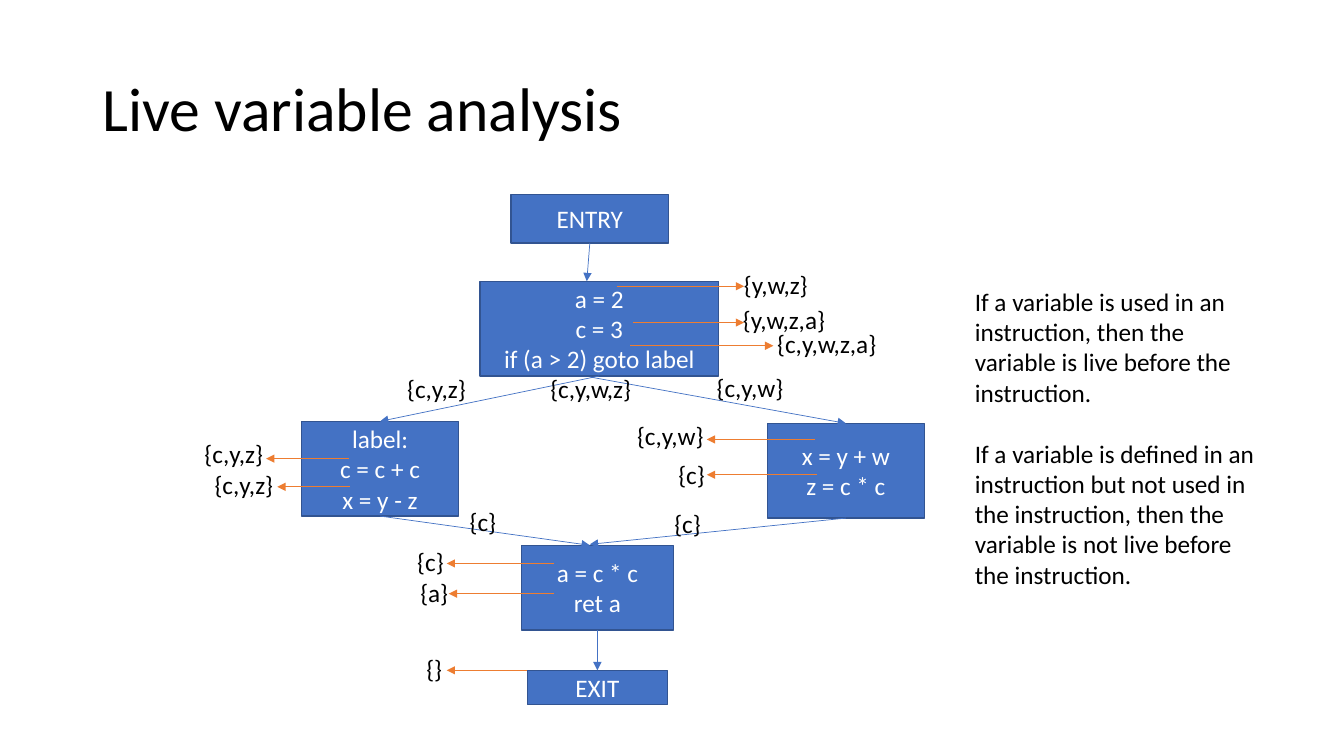
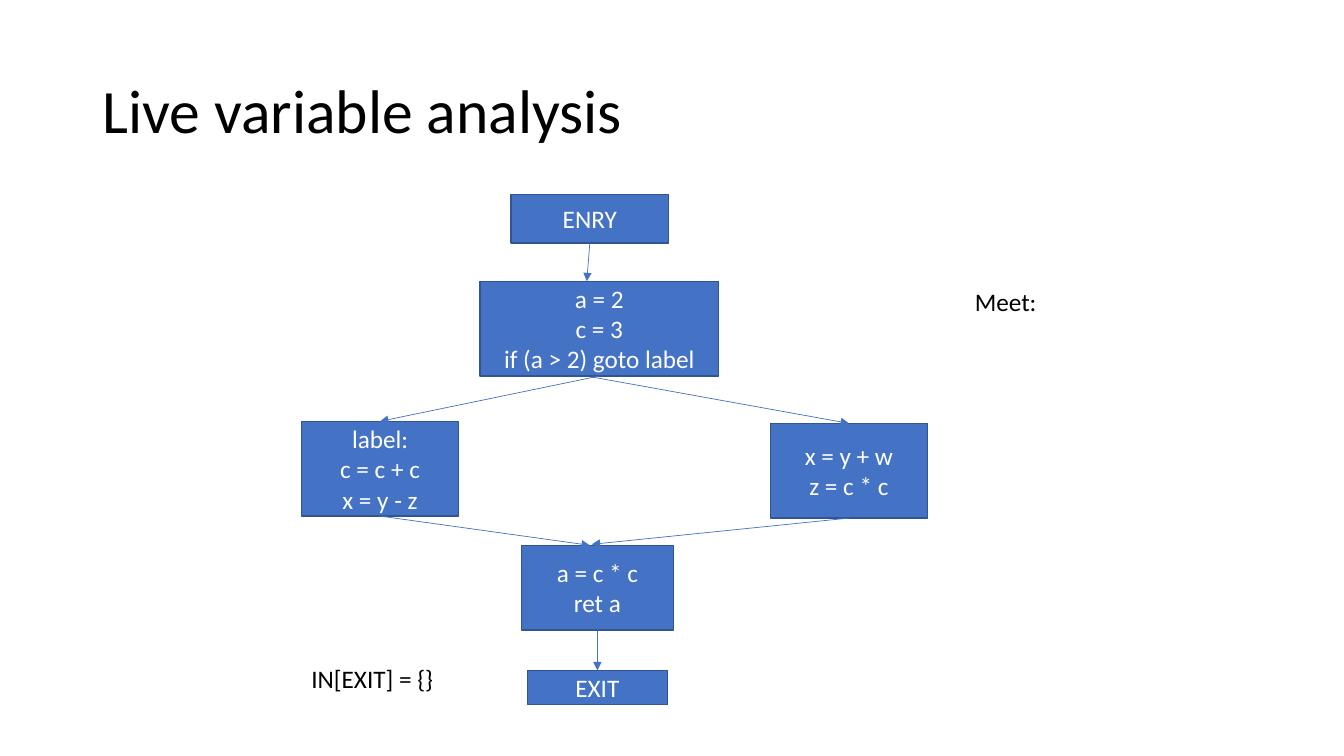
from lxml import etree
from pptx import Presentation
from pptx.dml.color import RGBColor
from pptx.enum.shapes import MSO_CONNECTOR, MSO_SHAPE
from pptx.enum.text import MSO_ANCHOR, PP_ALIGN
from pptx.oxml.ns import qn
from pptx.util import Inches, Pt

RECTANGLE = MSO_SHAPE.RECTANGLE
STRAIGHT = MSO_CONNECTOR.STRAIGHT
MIDDLE = MSO_ANCHOR.MIDDLE
LEFT, CENTER = PP_ALIGN.LEFT, PP_ALIGN.CENTER
TOP_SIDE, BOTTOM_SIDE = 0, 2

FONT = "Calibri"
BLUE, DARK_BLUE, ORANGE = "4472C4", "325491", "ED7D31"
BLACK, WHITE = "000000", "FFFFFF"
LABEL_HEIGHT = 0.4
rgb = RGBColor.from_string


def write_text(frame, lines, size=18, color=BLACK, align=LEFT, gap=0):
    frame.word_wrap = True
    for index, line in enumerate(lines):
        paragraph = frame.add_paragraph() if index else frame.paragraphs[0]
        paragraph.text = line
        paragraph.alignment = align
        paragraph.space_before = Pt(gap if index else 0)
        paragraph.font.name = FONT
        paragraph.font.size = Pt(size)
        paragraph.font.color.rgb = rgb(color)


def add_arrow(slide, start, end, color):
    points = [Inches(value) for value in (*start, *end)]
    arrow = slide.shapes.add_connector(STRAIGHT, *points)
    arrow.line.color.rgb = rgb(color)
    arrow.line.width = Pt(0.5)
    properties = arrow._element.spPr
    etree.SubElement(properties.find(qn("a:ln")), qn("a:tailEnd"), type="triangle")
    etree.SubElement(properties, qn("a:effectLst"))
    return arrow


rules = [
    "If a variable is used in an instruction, then the variable is live before the instruction.",
    "If a variable is defined in an instruction but not used in the instruction, "
    "then the variable is not live before the instruction.",
]
live_sets = [
    (4.13, 6.43, 0.94, "{}"),
    (4.07, 5.68, 0.94, "{a}"),
    (4.04, 5.37, 0.94, "{c}"),
    (4.56, 4.97, 0.94, "{c}"),
    (6.59, 4.99, 0.94, "{c}"),
    (6.63, 4.51, 0.94, "{c}"),
    (6.22, 4.12, 0.94, "{c,y,w}"),
    (1.93, 4.3, 0.94, "{c,y,z}"),
    (2.03, 4.61, 0.94, "{c,y,z}"),
    (3.94, 3.65, 0.94, "{c,y,z}"),
    (7.01, 3.64, 0.94, "{c,y,w}"),
    (5.36, 3.65, 1.08, "{c,y,w,z}"),
    (7.61, 3.21, 1.61, "{c,y,w,z,a}"),
    (7.27, 2.97, 1.61, "{y,w,z,a}"),
    (7.28, 2.62, 1.61, "{y,w,z}"),
]
live_set_pointers = [
    (5.23, 4.43, 6.65),
    (5.49, 4.45, 5.89),
    (5.49, 4.43, 5.59),
    (8.1, 7.01, 4.71),
    (8.08, 7.01, 4.36),
    (3.46, 2.64, 4.55),
    (3.47, 2.75, 4.83),
    (6.25, 7.67, 3.43),
    (6.28, 7.38, 3.2),
    (6.12, 7.38, 2.84),
]
slide_contents = [
    (0.38, "ENTRY", 7.61, 5.85, rules, live_sets, live_set_pointers),
    (0.4, "ENRY", 7.64, 5.87, ["Meet:"], [(2.99, 6.53, 1.48, "IN[EXIT] = {}")], []),
]

presentation = Presentation()
presentation.slide_width = Inches(13.33)
presentation.slide_height = Inches(7.5)
blank_layout = presentation.slide_layouts[6]

for title_top, entry_name, else_left, else_joint, side_notes, labels, pointers in slide_contents:
    slide = presentation.slides.add_slide(blank_layout)

    title = slide.shapes.add_textbox(Inches(0.92), Inches(title_top), Inches(11.5), Inches(1.45))
    title.text_frame.vertical_anchor = MIDDLE
    write_text(title.text_frame, ["Live variable analysis"], size=44)
    title.text_frame.paragraphs[0].line_spacing = 0.9

    block_specs = {
        "entry": (5.07, 1.93, 1.56, 0.48, [entry_name]),
        "branch": (4.76, 2.79, 2.37, 0.94, ["a = 2", "c = 3", "if (a > 2) goto label"]),
        "then": (2.99, 4.18, 1.56, 0.94, ["label:", "c = c + c", "x = y - z"]),
        "else": (else_left, 4.2, 1.56, 0.94, ["x = y + w", "z = c * c"]),
        "merge": (5.17, 5.41, 1.51, 0.84, ["a = c * c", "ret a"]),
        "exit": (5.23, 6.65, 1.39, 0.34, ["EXIT"]),
    }
    blocks = {}
    for name, (left, top, width, height, code) in block_specs.items():
        block = slide.shapes.add_shape(
            RECTANGLE, Inches(left), Inches(top), Inches(width), Inches(height)
        )
        block.shadow.inherit = False
        block.fill.solid()
        block.fill.fore_color.rgb = rgb(BLUE)
        block.line.color.rgb = rgb(DARK_BLUE)
        block.line.width = Pt(1)
        block.text_frame.vertical_anchor = MIDDLE
        write_text(block.text_frame, code, color=WHITE, align=CENTER)
        blocks[name] = block

    else_center = else_left + 0.78
    flow_edges = [
        ("entry", (5.85, 2.41), None, (5.82, 2.79)),
        ("branch", (5.95, 3.73), "then", (3.77, 4.18)),
        (None, (else_joint, 3.74), "else", (else_center, 4.2)),
        ("then", (3.77, 5.12), None, (5.85, 5.41)),
        ("else", (else_center, 5.14), None, (else_joint, 5.4)),
        ("merge", (5.92, 6.25), "exit", (5.92, 6.65)),
    ]
    for source, start, target, end in flow_edges:
        edge = add_arrow(slide, start, end, BLUE)
        if source:
            edge.begin_connect(blocks[source], BOTTOM_SIDE)
        if target:
            edge.end_connect(blocks[target], TOP_SIDE)

    notes_height = 3.13 if len(side_notes) > 1 else LABEL_HEIGHT
    explanation = slide.shapes.add_textbox(
        Inches(9.57), Inches(2.79), Inches(3.07), Inches(notes_height)
    )
    write_text(explanation.text_frame, side_notes, gap=22)

    for left, top, width, live_set in labels:
        label = slide.shapes.add_textbox(
            Inches(left), Inches(top), Inches(width), Inches(LABEL_HEIGHT)
        )
        write_text(label.text_frame, [live_set])

    for start_x, end_x, y in pointers:
        add_arrow(slide, (start_x, y), (end_x, y), ORANGE)

presentation.save("out.pptx")
